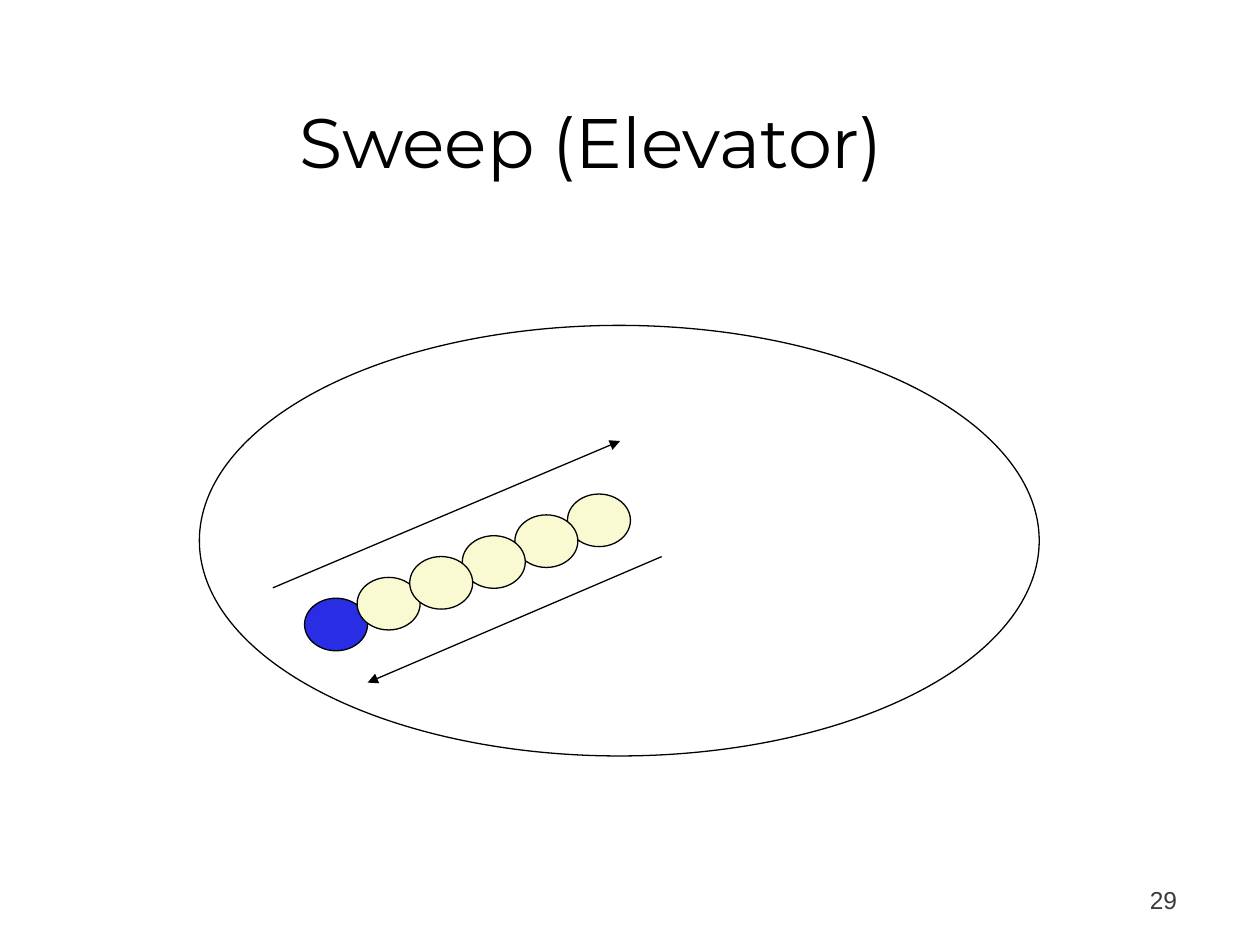
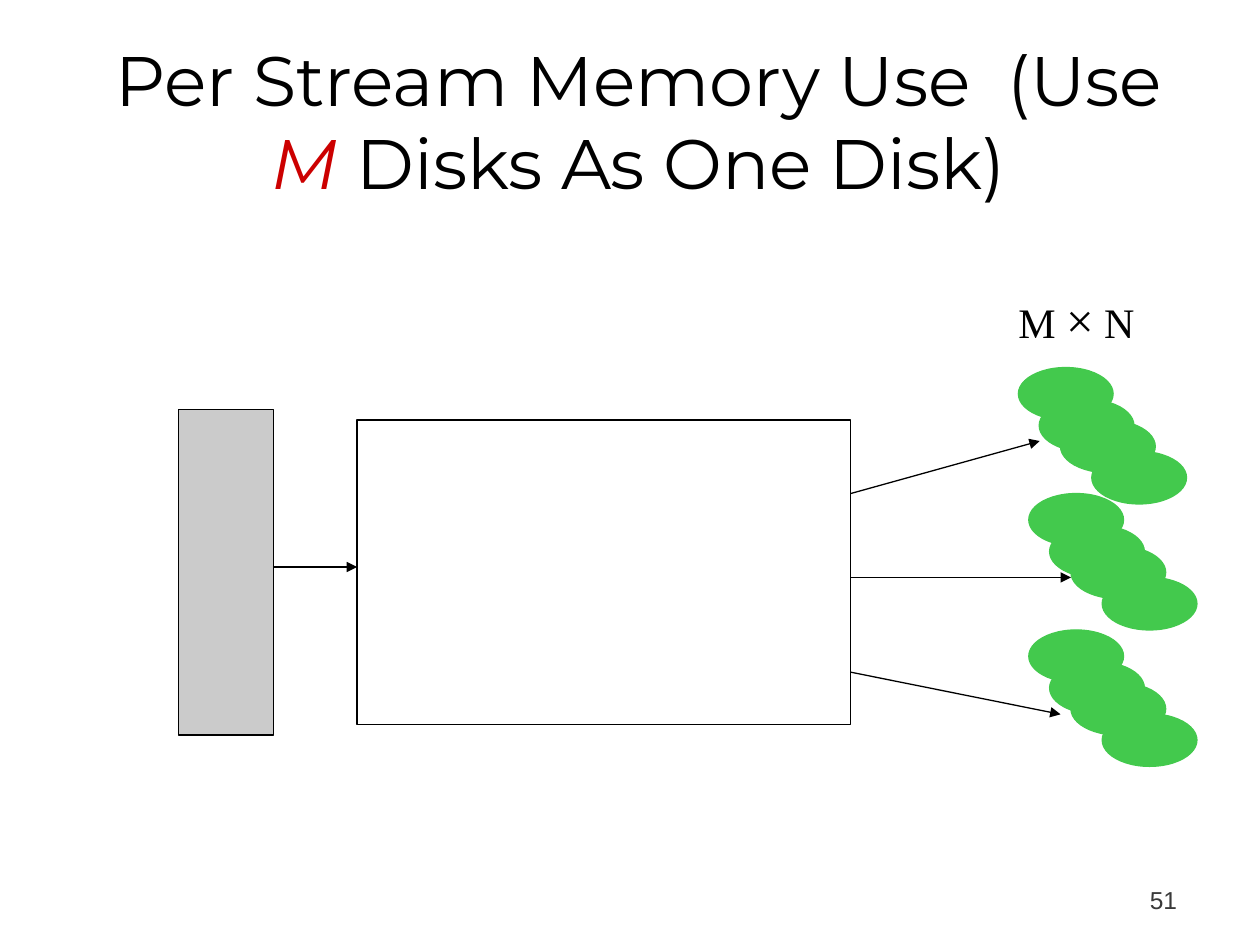
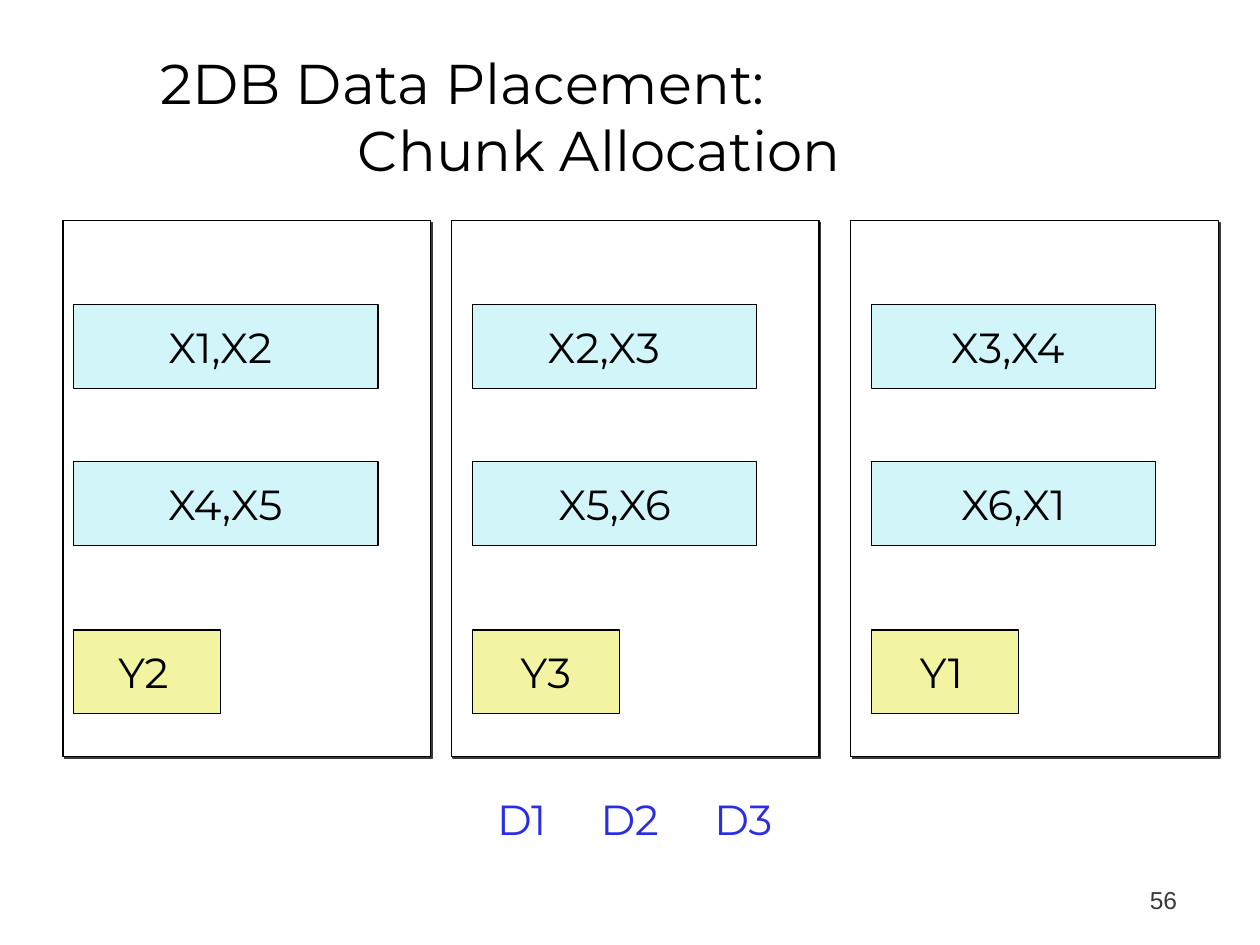
import pptx
import pptx.dml.color
import pptx.enum.shapes
import pptx.enum.text
import pptx.oxml
import pptx.util
from pptx.util import Cm

BLACK, WHITE, GREY, DARK_GREY = "000000", "FFFFFF", "CBCBCB", "393939"
BLUE, CREAM, GREEN, RED = "292DE3", "F9FAD2", "43C94D", "CC0000"
CYAN, YELLOW = "D2F5FA", "F2F4A2"
TITLE_FONT = "Montserrat"
DRAWING = 'xmlns:a="http://schemas.openxmlformats.org/drawingml/2006/main"'

hex_colour = pptx.dml.color.RGBColor.from_string
SHAPES = pptx.enum.shapes.MSO_SHAPE
ALIGN = pptx.enum.text.PP_ALIGN
BOTTOM = pptx.enum.text.MSO_ANCHOR.BOTTOM


def add_figure(page, kind, left, top, width, height, fill, line=BLACK):
    """Add a filled, thinly outlined shape without shadow; lengths in cm."""
    figure = page.shapes.add_shape(kind, Cm(left), Cm(top), Cm(width), Cm(height))
    figure.shadow.inherit = False
    figure.fill.solid()
    figure.fill.fore_color.rgb = hex_colour(fill)
    figure.line.color.rgb = hex_colour(line)
    figure.line.width = pptx.util.Pt(0.75)
    return figure


def add_span(para, text, size, font=TITLE_FONT, colour=BLACK):
    span = para.add_run()
    span.text = text
    span.font.size = pptx.util.Pt(size)
    span.font.name = font
    span.font.color.rgb = hex_colour(colour)
    return span


deck = pptx.Presentation()
deck.slide_width, deck.slide_height = Cm(25.4), Cm(19.05)

# Pages with title and number: left, width, height, size, lines, number
headings = [
    (1.12, 21.59, 3.18, 40, ["Sweep (Elevator)"], "29"),
    (1.27, 23.22, 3.61, 40, ["Per Stream Memory Use  (Use M Disks As One Disk)"], "51"),
    (1.35, 21.59, 3.18, 32, ["2DB Data Placement:", "Chunk Allocation"], "56"),
]
pages = []
for left, width, height, size, lines, number in headings:
    page = deck.slides.add_slide(deck.slide_layouts[5])
    pages.append(page)
    title = page.shapes.title
    title.left, title.top, title.width, title.height = Cm(left), Cm(0.63), Cm(width), Cm(height)
    frame = title.text_frame
    frame.auto_size = pptx.enum.text.MSO_AUTO_SIZE.NONE
    frame.vertical_anchor = BOTTOM
    frame.text = "\n".join([""] * len(lines))
    for para, line in zip(frame.paragraphs, lines):
        para.alignment = ALIGN.CENTER
        before, variable, after = line.partition(" M ")
        add_span(para, before, size)
        if variable:
            add_span(para, " ", size)
            add_span(para, "M", size, colour=RED).font.italic = True
            add_span(para, " " + after, size)

    number_box = page.shapes.add_textbox(Cm(18.7), Cm(17.28), Cm(5.28), Cm(1.27))
    number_box.text_frame.word_wrap = True
    number_box.text_frame.vertical_anchor = BOTTOM
    para = number_box.text_frame.paragraphs[0]
    para.alignment = ALIGN.RIGHT
    add_span(para, number, 14, "Arial", DARK_GREY)

sweep, memory, placement = pages

# Sweep: a platter with a row of blocks, the middle ones on top
add_figure(sweep, SHAPES.OVAL, 4.02, 6.56, 16.93, 8.68, WHITE)
for step in (0, 1, 5, 4, 3, 2):
    add_figure(sweep, SHAPES.OVAL, 6.14 + 1.06 * step, 12.06 - 0.42 * step,
               1.27, 1.06, CREAM if step else BLUE)

# Memory use: source, memory and three groups of streams
add_figure(memory, SHAPES.RECTANGLE, 7.2, 8.47, 9.95, 6.14, WHITE)
add_figure(memory, SHAPES.RECTANGLE, 3.6, 8.26, 1.91, 6.56, GREY)
for left, top in [(20.53, 7.41), (20.74, 9.95), (20.74, 12.7)]:
    for right, down in [(0, 0), (0.42, 0.64), (0.85, 1.06), (1.48, 1.69)]:
        add_figure(memory, SHAPES.OVAL, left + right, top + down, 1.91, 1.06, GREEN, GREEN)

count_box = memory.shapes.add_textbox(Cm(19.69), Cm(5.72), Cm(4.02), Cm(1.45))
count_box.text_frame.word_wrap = True
para = count_box.text_frame.paragraphs[0]
para.alignment = ALIGN.CENTER
for text, size in [("M ", 24), ("×", 28), (" N", 24)]:
    add_span(para, text, size, "Times New Roman")

# Arrows: page, start, end
arrows = [
    (sweep, (5.5, 11.85), (12.5, 8.89)),
    (sweep, (13.34, 11.22), (7.41, 13.76)),
    (memory, (5.5, 11.43), (7.2, 11.43)),
    (memory, (17.15, 9.95), (20.96, 8.89)),
    (memory, (17.15, 11.64), (21.59, 11.64)),
    (memory, (17.15, 13.55), (21.38, 14.4)),
]
for page, (x1, y1), (x2, y2) in arrows:
    arrow = page.shapes.add_connector(
        pptx.enum.shapes.MSO_CONNECTOR.STRAIGHT, Cm(x1), Cm(y1), Cm(x2), Cm(y2))
    arrow.line.color.rgb = hex_colour(BLACK)
    arrow.line.width = pptx.util.Pt(0.75)
    arrow.line._get_or_add_ln().append(
        pptx.oxml.parse_xml(f'<a:tailEnd {DRAWING} type="triangle"/>'))
    arrow._element.spPr.append(pptx.oxml.parse_xml(f"<a:effectLst {DRAWING}/>"))

# Placement: the title lines are staggered by indents
for para, indent in zip(placement.shapes.title.text_frame.paragraphs, (1.64, 5.61)):
    para.alignment = ALIGN.LEFT
    para._p.get_or_add_pPr().set("marL", str(Cm(indent)))

for left in (1.27, 9.1, 17.15):
    disk = add_figure(placement, SHAPES.RECTANGLE, left, 4.45, 7.41, 10.8, WHITE)
    disk._element.spPr.find(pptx.oxml.ns.qn("a:effectLst")).append(pptx.oxml.parse_xml(
        f'<a:outerShdw {DRAWING} dist="17780" dir="2700000" algn="ctr" rotWithShape="0">'
        f'<a:srgbClr val="{DARK_GREY}"/></a:outerShdw>'))

# Chunks: top, fill, widths, labels with their widths
chunk_lefts = (1.48, 9.53, 17.57)
long_widths, short_widths = (6.14, 5.72, 5.72), (2.96, 2.96, 2.96)
chunk_rows = [
    (6.14, CYAN, long_widths, [("X1,X2", 5.08), ("X2,X3", 4.45), ("X3,X4", 4.65)]),
    (9.31, CYAN, long_widths, [("X4,X5", 5.29), ("X5,X6", 4.88), ("X6,X1", 4.88)]),
    (12.7, YELLOW, short_widths, [("Y2", 1.98), ("Y3", 2.11), ("Y1", 1.98)]),
]
for top, fill, widths, labels in chunk_rows:
    for left, width, (label, label_width) in zip(chunk_lefts, widths, labels):
        add_figure(placement, SHAPES.RECTANGLE, left, top, width, 1.69, fill)
        label_box = placement.shapes.add_textbox(
            Cm(left + 0.42), Cm(top + 0.21), Cm(label_width), Cm(1.2))
        label_box.text_frame.word_wrap = True
        para = label_box.text_frame.paragraphs[0]
        para.alignment = ALIGN.CENTER
        add_span(para, label, 24)

disks_box = placement.shapes.add_textbox(Cm(1.91), Cm(15.88), Cm(21.8), Cm(1.07))
disks_box.text_frame.word_wrap = True
para = disks_box.text_frame.paragraphs[0]
stops = "".join(f'<a:tab pos="{Cm(stop)}" algn="l"/>' for stop in (7.86, 9.95, 12.24))
para._p.get_or_add_pPr().append(
    pptx.oxml.parse_xml(f"<a:tabLst {DRAWING}>{stops}</a:tabLst>"))
add_span(para, "\tD1\tD2\tD3", 24, colour=BLUE)

deck.save("out.pptx")
